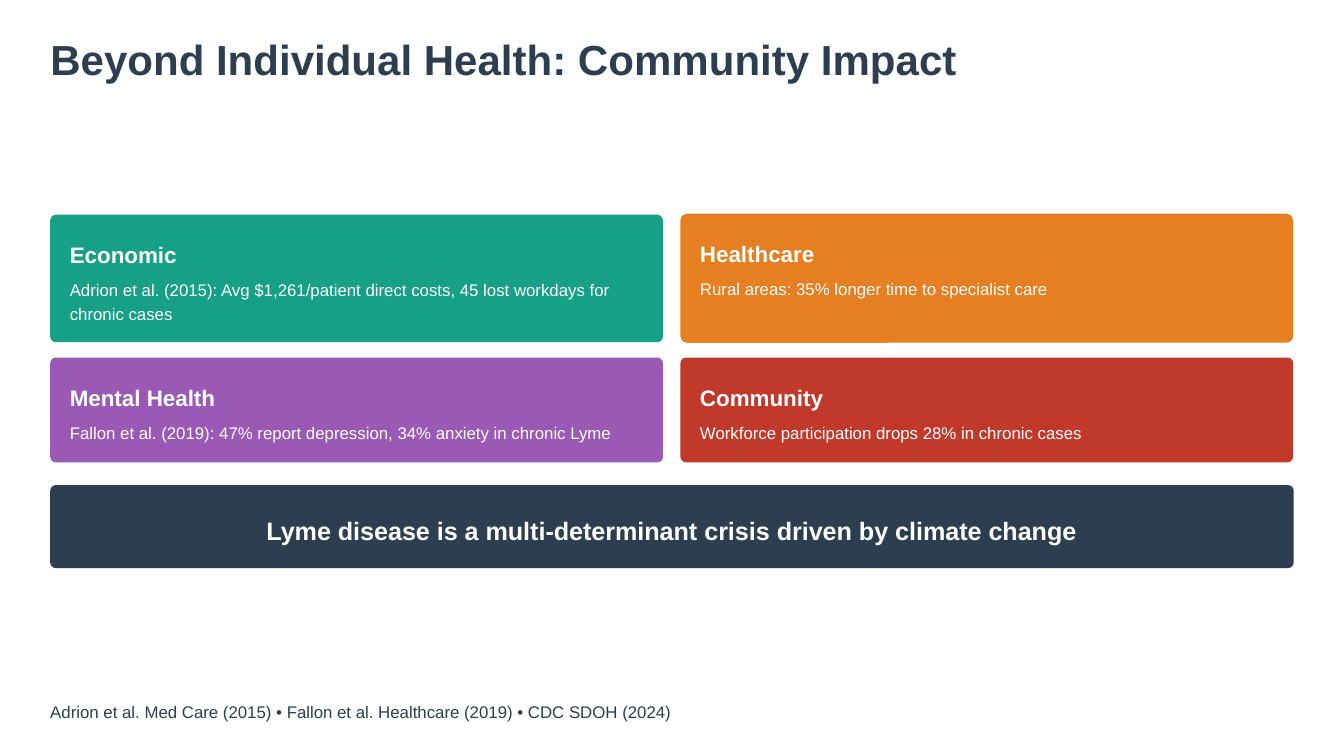
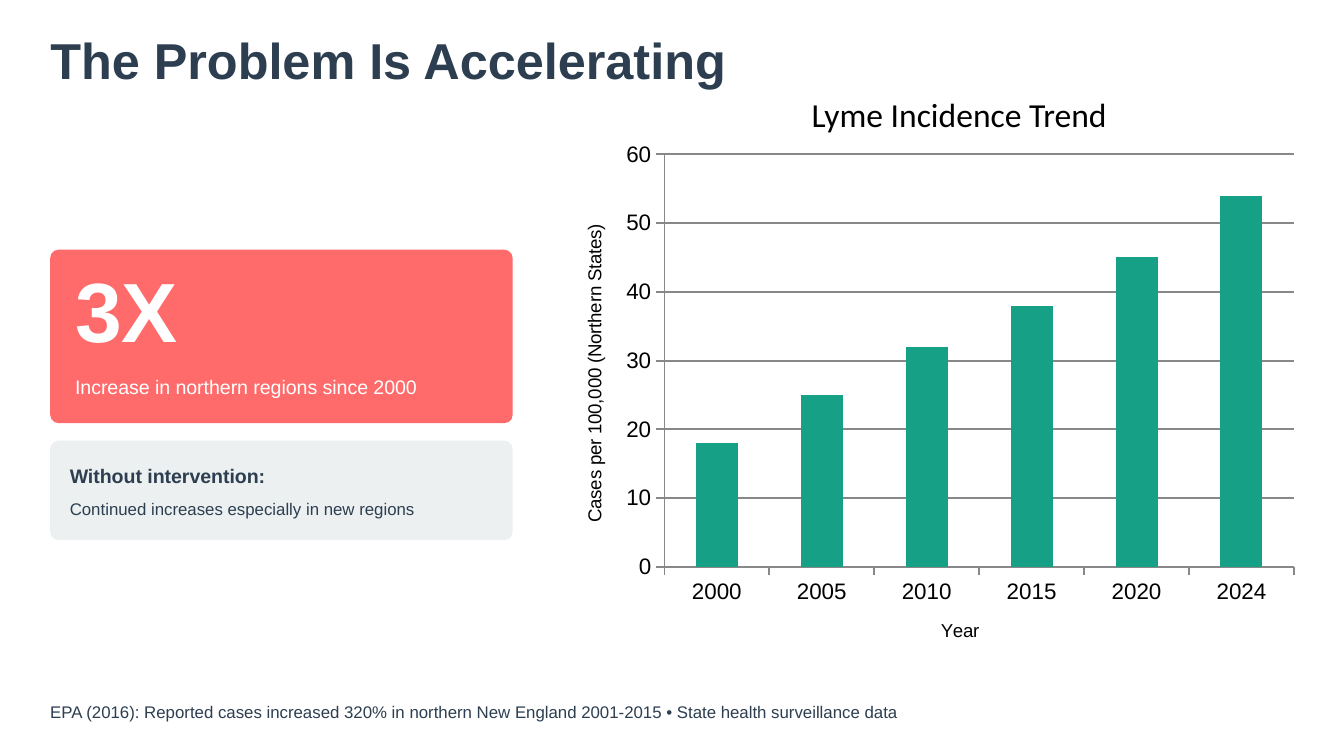
from pptx import Presentation
from pptx.chart.data import CategoryChartData
from pptx.dml.color import RGBColor
from pptx.enum.chart import XL_CHART_TYPE, XL_TICK_LABEL_POSITION, XL_TICK_MARK
from pptx.enum.shapes import MSO_SHAPE
from pptx.enum.text import MSO_ANCHOR, MSO_AUTO_SIZE, PP_ALIGN
from pptx.util import Cm, Pt

COLUMN = XL_CHART_TYPE.COLUMN_CLUSTERED
LABELS_LOW = XL_TICK_LABEL_POSITION.LOW
TICK_OUT, TICK_NONE = XL_TICK_MARK.OUTSIDE, XL_TICK_MARK.NONE
ROUNDED = MSO_SHAPE.ROUNDED_RECTANGLE
TOP = MSO_ANCHOR.TOP
NO_FIT, GROW = MSO_AUTO_SIZE.NONE, MSO_AUTO_SIZE.SHAPE_TO_FIT_TEXT
LEFT, CENTER = PP_ALIGN.LEFT, PP_ALIGN.CENTER

# Shared look
NAVY, TEAL, ORANGE, PURPLE = "2C3E50", "16A085", "E67E22", "9B59B6"
RED, CORAL, PALE, WHITE = "C0392B", "FF6B6B", "ECF0F1", "FFFFFF"
BLACK, GREY = "000000", "888888"
FONT = "Arial"
MARGIN = 0.95
PANEL_INDENT = 0.37
TITLE_ONLY = 5


def add_text(slide, box, text, size, color, line=None, after=0,
             bold=False, align=LEFT, font=FONT, shape=None):
    """Write one paragraph into a new text box or the given placeholder."""
    left, top, width, height = [Cm(length) for length in box]
    if shape is None:
        shape = slide.shapes.add_textbox(left, top, width, height)
    else:
        shape.left, shape.top, shape.width, shape.height = left, top, width, height
    frame = shape.text_frame
    frame.word_wrap = True
    frame.auto_size = NO_FIT
    frame.vertical_anchor = TOP
    frame.margin_left = frame.margin_right = 0
    frame.margin_top = frame.margin_bottom = 0
    paragraph = frame.paragraphs[0]
    paragraph.alignment = align
    paragraph.space_before = Pt(0)
    paragraph.space_after = Pt(after)
    if line:
        paragraph.line_spacing = Pt(line)
    run = paragraph.add_run()
    run.text = text
    run.font.name = font
    run.font.size = Pt(size)
    run.font.bold = bold
    run.font.color.rgb = RGBColor.from_string(color)
    return frame


def add_panel(slide, box, color, rounding):
    shape = slide.shapes.add_shape(ROUNDED, *[Cm(length) for length in box])
    shape.adjustments[0] = rounding
    shape.fill.solid()
    shape.fill.fore_color.rgb = RGBColor.from_string(color)
    shape.line.fill.background()
    shape.shadow.inherit = False


presentation = Presentation()
presentation.slide_width = Cm(25.4)
presentation.slide_height = Cm(14.29)

# Titles and source lines of both slides
slides = []
for title, size, line, width, height, source in [
    ("Beyond Individual Health: Community Impact", 22.5, 27, 17.45, 0.95,
     "Adrion et al. Med Care (2015) • Fallon et al. Healthcare (2019) • CDC SDOH (2024)"),
    ("The Problem Is Accelerating", 27, 30, 13.03, 1.06,
     "EPA (2016): Reported cases increased 320% in northern New England 2001-2015"
     " • State health surveillance data"),
]:
    slide = presentation.slides.add_slide(presentation.slide_layouts[TITLE_ONLY])
    add_text(slide, (MARGIN, 0.64, width, height), title, size, NAVY, line, 7.5,
             bold=True, shape=slide.shapes.title)
    add_text(slide, (MARGIN, 13.23, 23.98, 0.43), source, 9, NAVY, 12)
    slides.append(slide)
impact_slide, trend_slide = slides

# Slide 1: impact cards in two columns
column_lefts = (MARGIN, 12.86)
cards = [
    ("Economic", "Adrion et al. (2015): Avg $1,261/patient direct costs, "
     "45 lost workdays for chronic cases", TEAL, 4.06, 2.41, 0.044, 0.89),
    ("Healthcare", "Rural areas: 35% longer time to specialist care",
     ORANGE, 4.04, 2.44, 0.053, 0.43),
    ("Mental Health", "Fallon et al. (2019): 47% report depression, "
     "34% anxiety in chronic Lyme", PURPLE, 6.76, 1.98, 0.053, 0.43),
    ("Community", "Workforce participation drops 28% in chronic cases",
     RED, 6.76, 1.98, 0.053, 0.43),
]
for index, (heading, detail, color, top, height, rounding, detail_height) in enumerate(cards):
    left = column_lefts[index % 2]
    text_left = left + PANEL_INDENT
    add_panel(impact_slide, (left, top, 11.58, height), color, rounding)
    add_text(impact_slide, (text_left, top + 0.38, 11.07, 0.64), heading,
             12, WHITE, 18, 4.5, bold=True)
    add_text(impact_slide, (text_left, top + 1.17, 11.07, detail_height), detail,
             9, WHITE, 12.6)

# Slide 1: conclusion band
add_panel(impact_slide, (MARGIN, 9.17, 23.5, 1.57), NAVY, 0.067)
add_text(impact_slide, (1.14, 9.58, 23.11, 0.74),
         "Lyme disease is a multi-determinant crisis driven by climate change",
         13.5, WHITE, 21, bold=True, align=CENTER)

# Slide 2: key figure and outlook
add_panel(trend_slide, (MARGIN, 4.72, 8.74, 3.28), CORAL, 0.048)
add_text(trend_slide, (1.42, 5.21, 7.92, 1.57), "3X", 45, WHITE, 45, 6, bold=True)
add_text(trend_slide, (1.42, 7.01, 7.92, 0.53),
         "Increase in northern regions since 2000", 10.5, WHITE, 15)
add_panel(trend_slide, (MARGIN, 8.33, 8.74, 1.88), PALE, 0.085)
outlook_left = MARGIN + PANEL_INDENT
add_text(trend_slide, (outlook_left, 8.69, 8.15, 0.53), "Without intervention:",
         10.5, NAVY, 15, 4.5, bold=True)
add_text(trend_slide, (outlook_left, 9.37, 8.15, 0.43),
         "Continued increases especially in new regions", 9, NAVY, 12.6)

# Slide 2: incidence chart
chart_data = CategoryChartData()
chart_data.categories = ["2000", "2005", "2010", "2015", "2020", "2024"]
chart_data.add_series("Series 1", (18, 25, 32, 38, 45, 54))
chart = trend_slide.shapes.add_chart(
    COLUMN, Cm(10.49), Cm(2.49), Cm(14.25), Cm(10.16), chart_data).chart
chart.has_title = False
chart.has_legend = False
chart.font.name = "Calibri"
chart.font.size = Pt(10)
chart.font.color.rgb = RGBColor.from_string(BLACK)

plot = chart.plots[0]
plot.gap_width = 150
plot.vary_by_categories = False
fill = plot.series[0].format.fill
fill.solid()
fill.fore_color.rgb = RGBColor.from_string(TEAL)

for axis, title in [(chart.category_axis, "Year"),
                    (chart.value_axis, "Cases per 100,000 (Northern States)")]:
    axis.major_tick_mark = TICK_OUT
    axis.minor_tick_mark = TICK_NONE
    axis.format.line.color.rgb = RGBColor.from_string(GREY)
    axis.format.line.width = Pt(1)
    run = axis.axis_title.text_frame.paragraphs[0].add_run()
    run.text = title
    run.font.bold = False
    for font, size in [(axis.tick_labels.font, 12), (run.font, 10)]:
        font.name = FONT
        font.size = Pt(size)
        font.color.rgb = RGBColor.from_string(BLACK)

chart.category_axis.tick_label_position = LABELS_LOW
value_axis = chart.value_axis
value_axis.minimum_scale = 0
value_axis.has_major_gridlines = True
gridline = value_axis.major_gridlines.format.line
gridline.color.rgb = RGBColor.from_string(GREY)
gridline.width = Pt(1)

# Slide 2: chart heading
heading_frame = add_text(trend_slide, (15.09, 1.65, 6.17, 1.02), "Lyme Incidence Trend",
                         18, BLACK, font="Calibri")
heading_frame.margin_left = heading_frame.margin_right = Cm(0.25)
heading_frame.margin_top = heading_frame.margin_bottom = Cm(0.13)
heading_frame.word_wrap = False
heading_frame.auto_size = GROW

presentation.save("out.pptx")
